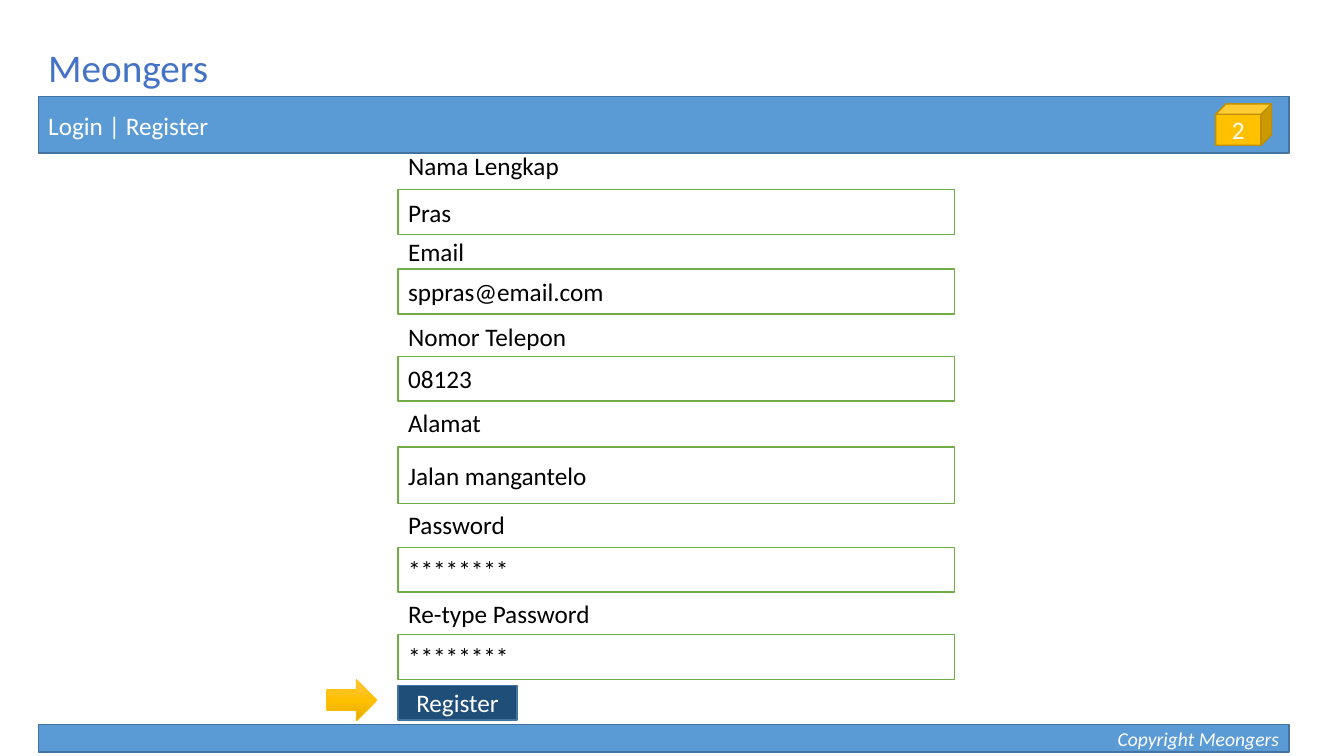
import copy
from dataclasses import dataclass

import pptx
import pptx.dml.color
import pptx.enum.shapes
import pptx.enum.text
import pptx.oxml.ns
import pptx.shapes.autoshape
import pptx.slide
import pptx.util

Pt = pptx.util.Pt
RGBColor = pptx.dml.color.RGBColor
Shape = pptx.shapes.autoshape.Shape
Slide = pptx.slide.Slide
Preset = pptx.enum.shapes.MSO_SHAPE
Align = pptx.enum.text.PP_ALIGN

WHITE = RGBColor(0xFF, 0xFF, 0xFF)
BLACK = RGBColor(0x00, 0x00, 0x00)
BLUE = RGBColor(0x5B, 0x9B, 0xD5)
BLUE_EDGE = RGBColor(0x43, 0x73, 0x9E)
TITLE_BLUE = RGBColor(0x44, 0x72, 0xC4)
NAVY = RGBColor(0x1F, 0x4E, 0x79)
GREEN = RGBColor(0x70, 0xAD, 0x47)
GOLD = RGBColor(0xFF, 0xC0, 0x00)
GOLD_EDGE = RGBColor(0xBD, 0x8E, 0x00)
ARROW_SHADES = (RGBColor(0xFF, 0xC6, 0x4B), GOLD, RGBColor(0xE3, 0xAB, 0x00))

FONT = "Calibri"
BAR_LEFT, BAR_WIDTH = 27.36, 893.52
FORM_LEFT, FIELD_WIDTH = 284.4, 397.44
FIELD_HEIGHT = 32
LABEL_HEIGHT = 29


@dataclass(frozen=True)
class Field:
    label: str
    label_top: float
    label_width: float
    value: str
    top: float
    height: float = FIELD_HEIGHT


@dataclass(frozen=True)
class Panel:
    """A filled, outlined shape with one line of text."""
    preset: Preset
    left: float
    top: float
    width: float
    height: float
    text: str
    fill: RGBColor
    edge: RGBColor
    align: Align = Align.LEFT
    color: RGBColor = WHITE
    size: float = 18
    italic: bool = False


FIELDS = (
    Field("Nama Lengkap", 103.7, 123.8, "Pras", 135.4),
    Field("Email", 164.9, 54.7, "sppras@email.com", 192.2),
    Field("Nomor Telepon", 226.1, 128.9, "08123", 254.5),
    Field("Alamat", 287.3, 67, "Jalan mangantelo", 319.3, 40.3),
    Field("Password", 360, 84.2, "********", 391),
    Field("Re-type Password", 424.1, 145.4, "********", 453.2),
)

PANELS = (
    Panel(Preset.RECTANGLE, BAR_LEFT, 69.1, BAR_WIDTH, 40.3,
          "Login | Register", BLUE, BLUE_EDGE),
    Panel(Preset.CUBE, 868.3, 74.2, 39.9, 29.5, "2", GOLD, GOLD_EDGE, Align.CENTER),
    Panel(Preset.RECTANGLE, BAR_LEFT, 517.7, BAR_WIDTH, 19.4,
          "Copyright Meongers", BLUE, BLUE_EDGE, Align.RIGHT, size=14, italic=True),
    Panel(Preset.RECTANGLE, FORM_LEFT, 489.8, 84.8, 24.5,
          "Register", NAVY, BLUE_EDGE, Align.CENTER),
)


def write(shape: Shape, text: str, size: float, color: RGBColor,
          align: Align = Align.LEFT, italic: bool = False) -> None:
    shape.text_frame.text = text
    paragraph = shape.text_frame.paragraphs[0]
    paragraph.alignment = align
    font = paragraph.runs[0].font
    font.name = FONT
    font.size = Pt(size)
    font.color.rgb = color
    if italic:
        font.italic = True


def add_panel(slide: Slide, panel: Panel) -> None:
    shape = slide.shapes.add_shape(
        panel.preset, Pt(panel.left), Pt(panel.top), Pt(panel.width), Pt(panel.height))
    shape.shadow.inherit = False
    shape.fill.solid()
    shape.fill.fore_color.rgb = panel.fill
    shape.line.color.rgb = panel.edge
    shape.line.width = Pt(1)
    shape.text_frame.vertical_anchor = pptx.enum.text.MSO_ANCHOR.MIDDLE
    write(shape, panel.text, panel.size, panel.color, panel.align, panel.italic)


def add_label(slide: Slide, text: str, left: float, top: float, width: float,
              height: float, size: float, color: RGBColor) -> None:
    label = slide.shapes.add_textbox(Pt(left), Pt(top), Pt(width), Pt(height))
    label.text_frame.word_wrap = False
    label.text_frame.auto_size = pptx.enum.text.MSO_AUTO_SIZE.SHAPE_TO_FIT_TEXT
    write(label, text, size, color)


def add_field(slide: Slide, field: Field) -> None:
    add_panel(slide, Panel(Preset.RECTANGLE, FORM_LEFT, field.top, FIELD_WIDTH,
                           field.height, field.value, WHITE, GREEN, color=BLACK))
    add_label(slide, field.label, FORM_LEFT, field.label_top, field.label_width,
              LABEL_HEIGHT, 18, BLACK)


def add_pointer(slide: Slide) -> None:
    """Add the gold arrow, shaded from top to bottom, beside the button."""
    arrow = slide.shapes.add_shape(
        Preset.RIGHT_ARROW, Pt(233.3), Pt(485.3), Pt(36), Pt(29.5))
    arrow.shadow.inherit = False
    arrow.line.color.rgb = GOLD
    arrow.line.width = Pt(0.5)
    arrow.fill.gradient()
    arrow.fill.gradient_angle = 270
    stop_list = arrow.element.spPr.find(".//" + pptx.oxml.ns.qn("a:gsLst"))
    middle = copy.deepcopy(stop_list[0])
    middle.set("pos", "50000")
    stop_list.insert(1, middle)
    for stop, shade in zip(arrow.fill.gradient_stops, ARROW_SHADES):
        stop.color.rgb = shade


def main() -> None:
    deck = pptx.Presentation()
    deck.slide_width, deck.slide_height = Pt(960), Pt(540)
    slide = deck.slides.add_slide(deck.slide_layouts[6])
    add_label(slide, "Meongers", BAR_LEFT, 27.4, 130.3, 41, 28, TITLE_BLUE)
    for panel in PANELS:
        add_panel(slide, panel)
    for field in FIELDS:
        add_field(slide, field)
    add_pointer(slide)
    deck.save("out.pptx")


if __name__ == "__main__":
    main()
